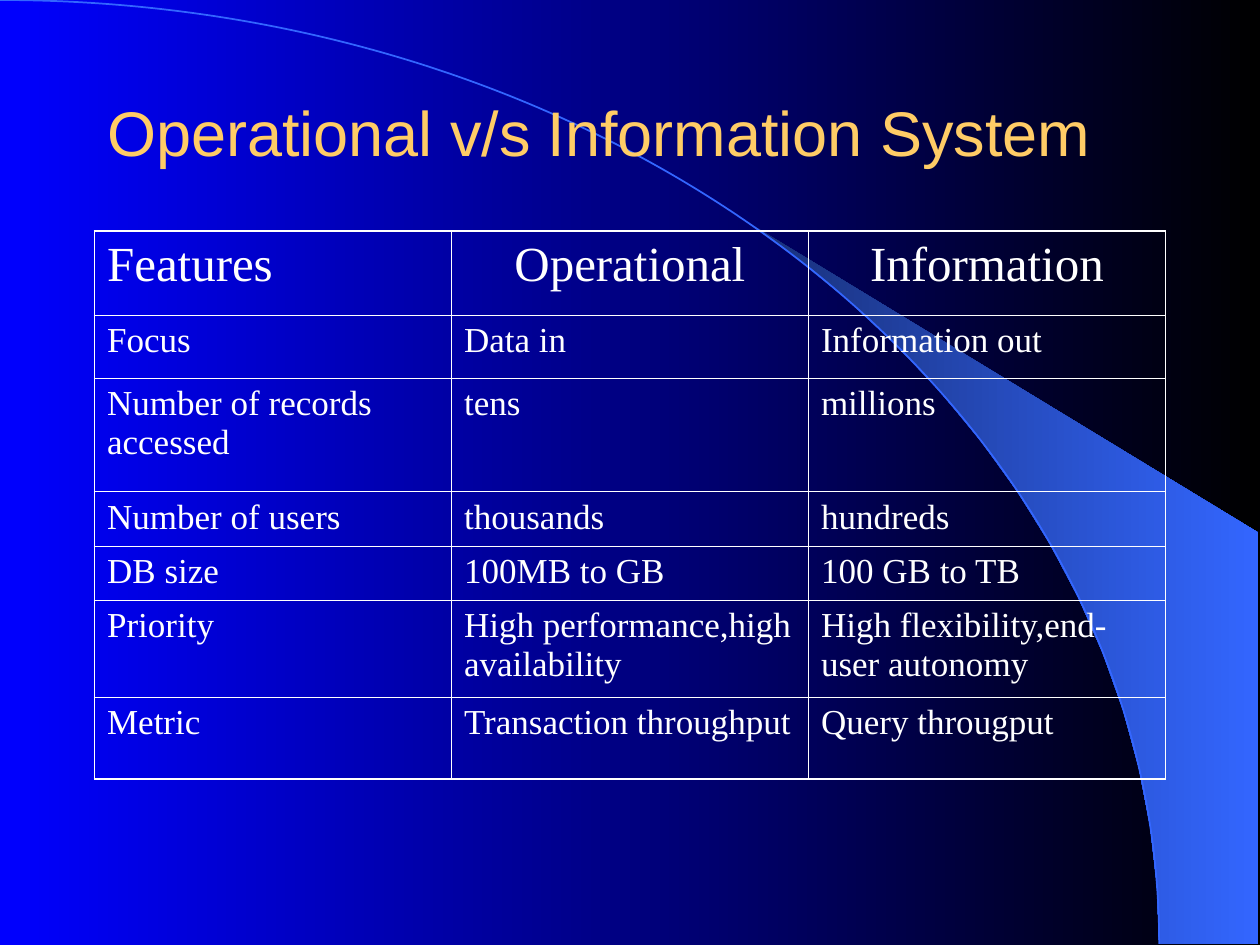
"""Build a slide comparing operational and information systems in a table."""
from math import asin, cos, pi, sin

from lxml.etree import SubElement
from pptx import Presentation
from pptx.dml.color import RGBColor
from pptx.enum.text import MSO_ANCHOR, MSO_AUTO_SIZE, PP_ALIGN
from pptx.oxml.ns import qn
from pptx.util import Inches, Pt

TITLE = "Operational v/s Information System"
ROWS = [
    ("Features", "Operational", "Information"),
    ("Focus", "Data in", "Information out"),
    ("Number of records accessed", "tens", "millions"),
    ("Number of users", "thousands", "hundreds"),
    ("DB size", "100MB to GB", "100 GB to TB"),
    ("Priority", "High performance,high availability", "High flexibility,end-user autonomy"),
    ("Metric", "Transaction throughput", "Query througput"),
]
ROW_HEIGHTS = [0.67, 0.5, 0.9, 0.43, 0.43, 0.77, 0.65]
LEFT, CONTENT_WIDTH = 0.75, 8.5
TABLE_TOP = 11 / 6
ARC_WIDTH, ARC_HEIGHT = 9.2, 7.49
ARC_CURVE = [(5.08, 0), (ARC_WIDTH, 3.35), (ARC_WIDTH, ARC_HEIGHT)]
BEAM_START, BEAM_RIGHT, BEAM_TOP = 5.89, 9.99, 4.23
BEAM_STEPS = 14
OUTER_LINE, INNER_LINE = Pt(1.08), Pt(0.45)

BLUE = RGBColor(0x00, 0x00, 0xFF)
BLACK = RGBColor(0x00, 0x00, 0x00)
NAVY = RGBColor(0x18, 0x2F, 0x76)
SKY = RGBColor(0x33, 0x66, 0xFF)
GOLD = RGBColor(0xFF, 0xCC, 0x66)
WHITE = RGBColor(0xFF, 0xFF, 0xFF)


def fill_gradient(fill, start, end):
    fill.gradient()
    fill.gradient_angle = 0
    for stop, position, color in zip(fill.gradient_stops, (0, 1), (start, end)):
        stop.position = position
        stop.color.rgb = color


def add_outline(page, points, close):
    start, *others = [(Inches(x), Inches(y)) for x, y in points]
    builder = page.shapes.build_freeform(*start)
    builder.add_line_segments(others, close=close)
    shape = builder.convert_to_shape()
    shape.shadow.inherit = False
    return shape


def add_beam(page):
    start_angle = asin(BEAM_START / ARC_WIDTH)
    step_angle = (pi / 2 - start_angle) / BEAM_STEPS
    angles = [start_angle + step_angle * step for step in range(BEAM_STEPS + 1)]
    edge = [(ARC_WIDTH * sin(angle), ARC_HEIGHT * (1 - cos(angle))) for angle in angles]
    corners = [(BEAM_RIGHT, ARC_HEIGHT), (BEAM_RIGHT, BEAM_TOP)]
    beam = add_outline(page, edge + corners, True)
    fill_gradient(beam.fill, NAVY, SKY)
    beam.line.fill.background()


def add_arc(page):
    arc = add_outline(page, [(0, 0), (ARC_WIDTH, ARC_HEIGHT)], False)
    segment = next(arc._element.iter(qn("a:lnTo")))
    curve = SubElement(segment.getparent(), qn("a:cubicBezTo"))
    for x, y in ARC_CURVE:
        SubElement(curve, qn("a:pt"), x=str(int(Inches(x))), y=str(int(Inches(y))))
    segment.getparent().remove(segment)
    arc.fill.background()
    arc.line.color.rgb = SKY
    arc.line.width = Pt(1)


def format_text(paragraph, font_name, size, color, alignment):
    paragraph.alignment = alignment
    for span in paragraph.runs:
        span.font.name = font_name
        span.font.size = Pt(size)
        span.font.color.rgb = color


def add_title(page):
    title = page.shapes.title
    title.left, title.top = Inches(LEFT), Inches(0.67)
    title.width, title.height = Inches(CONTENT_WIDTH), Inches(0.75)
    frame = title.text_frame
    frame.text = TITLE
    frame.auto_size = MSO_AUTO_SIZE.NONE
    frame.vertical_anchor = MSO_ANCHOR.MIDDLE
    format_text(frame.paragraphs[0], "Arial", 36, GOLD, PP_ALIGN.LEFT)
    page.shapes._spTree.append(title._element)


def set_borders(cell, outer_sides):
    properties = cell._tc.get_or_add_tcPr()
    for side in "LRTB":
        width = OUTER_LINE if side in outer_sides else INNER_LINE
        line = SubElement(properties, qn(f"a:ln{side}"), w=str(int(width)))
        solid = SubElement(line, qn("a:solidFill"))
        SubElement(solid, qn("a:srgbClr"), val=str(WHITE))


def add_comparison(page):
    row_count, column_count = len(ROWS), len(ROWS[0])
    table = page.shapes.add_table(
        row_count, column_count, Inches(LEFT), Inches(TABLE_TOP),
        Inches(CONTENT_WIDTH), Inches(sum(ROW_HEIGHTS)),
    ).table
    table.first_row = table.horz_banding = False
    for row, height in zip(table.rows, ROW_HEIGHTS):
        row.height = Inches(height)
    for r, texts in enumerate(ROWS):
        for c, text in enumerate(texts):
            cell = table.cell(r, c)
            cell.text = text
            edges = {"L": c == 0, "R": c == column_count - 1, "T": r == 0, "B": r == row_count - 1}
            set_borders(cell, [side for side, outer in edges.items() if outer])
            cell.fill.background()
            alignment = PP_ALIGN.CENTER if r == 0 and c > 0 else PP_ALIGN.LEFT
            size = 28 if r == 0 else 20
            format_text(cell.text_frame.paragraphs[0], "Times New Roman", size, WHITE, alignment)


def main():
    deck = Presentation()
    deck.slide_width, deck.slide_height = Inches(10), Inches(7.5)
    page = deck.slides.add_slide(deck.slide_layouts[5])
    fill_gradient(page.background.fill, BLUE, BLACK)
    add_beam(page)
    add_arc(page)
    add_title(page)
    add_comparison(page)
    deck.save("out.pptx")


if __name__ == "__main__":
    main()
